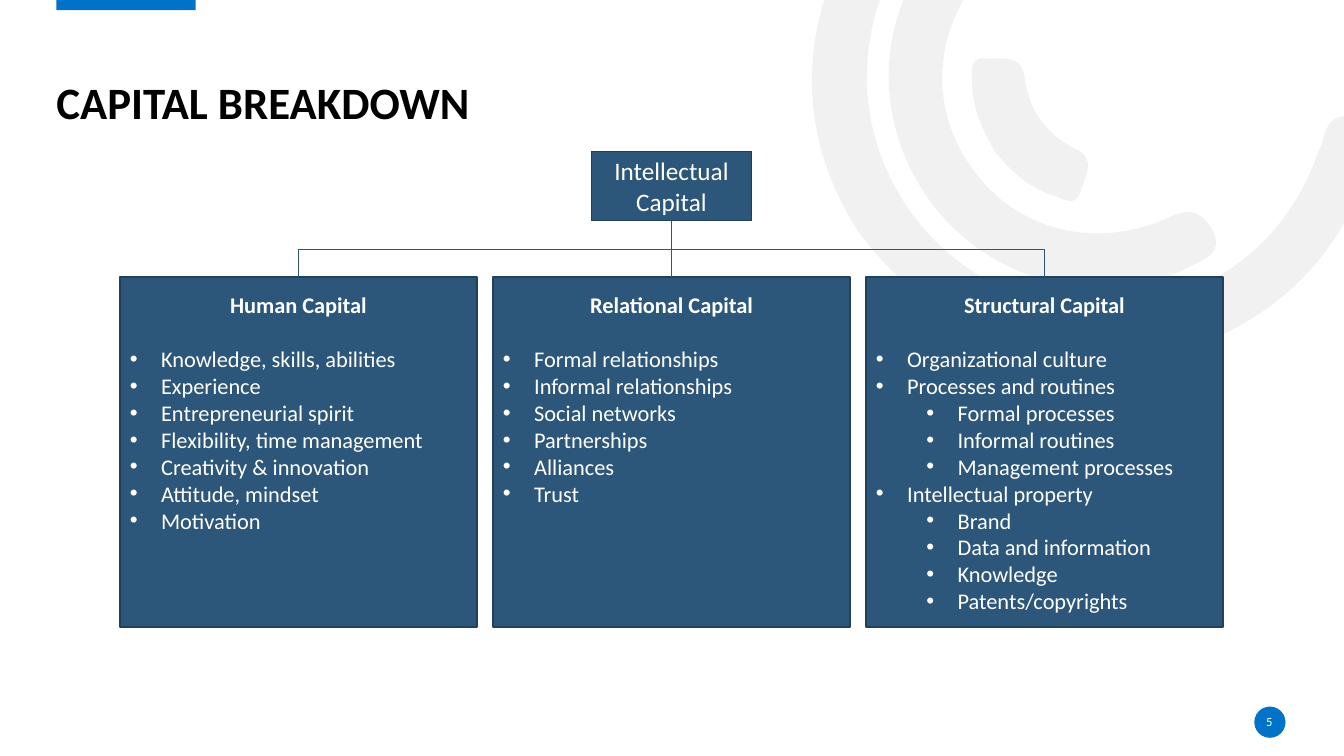
import pptx
import pptx.util
import pptx.dml.color
import pptx.enum.text
import pptx.enum.shapes
import pptx.oxml
import pptx.oxml.ns
from dataclasses import dataclass

Inches, Pt = pptx.util.Inches, pptx.util.Pt
Align, Anchor = pptx.enum.text.PP_ALIGN, pptx.enum.text.MSO_ANCHOR
Shape, Line = pptx.enum.shapes.MSO_SHAPE, pptx.enum.shapes.MSO_CONNECTOR
qn, drawing = pptx.oxml.ns.qn, pptx.oxml.ns.nsdecls("a")


@dataclass
class Theme:
    font: str = "Calibri"
    accent: str = "0072C7"
    box: str = "2C567A"
    edge: str = "21405A"
    swirl: str = "E7E6E6"
    white: str = "FFFFFF"
    black: str = "000000"
    title_size: int = 32
    root_size: int = 18
    body_size: int = 16
    number_size: int = 9


theme = Theme()


def paint(shape, fill, edge=None):
    shape.shadow.inherit = False
    shape.fill.solid()
    shape.fill.fore_color.rgb = pptx.dml.color.RGBColor.from_string(fill)
    if edge:
        shape.line.color.rgb = pptx.dml.color.RGBColor.from_string(edge)
        shape.line.width = Pt(1)
    else:
        shape.line.fill.background()


def style(para, size, color, align, bold=False):
    para.alignment = align
    for span in para.runs:
        span.font.name, span.font.size, span.font.bold = theme.font, Pt(size), bold
        span.font.color.rgb = pptx.dml.color.RGBColor.from_string(color)


# Page and grid
deck = pptx.Presentation()
deck.slide_width, deck.slide_height = Inches(13.33), Inches(7.5)
page = deck.slides.add_slide(deck.slide_layouts[5])
shapes = page.shapes
margin, center = 0.56, 6.66
pitch, column_width, column_top, column_height = 3.7, 3.54, 2.75, 3.47
root_width, root_top, root_height = 1.59, 1.5, 0.69

# Background swirl in hundredths of an inch: a start point, then
# Bezier curves (two handles and an end)
swirl = [
    [(851, 229), (799, 149, 787, 50, 838, -50), (890, -152, 976, -203, 1090, -207),
     (1105, -207, 1121, -210, 1131, -195), (1144, -175, 1127, -154, 1098, -154),
     (967, -154, 865, -59, 860, 68), (856, 181, 936, 281, 1046, 302),
     (1160, 324, 1270, 261, 1307, 152), (1309, 148, 1311, 144, 1312, 140),
     (1316, 119, 1327, 111, 1349, 117), (1373, 124, 1367, 141, 1361, 156),
     (1334, 245, 1278, 307, 1191, 341), (1070, 387, 936, 345, 851, 229)],
    [(922, 199), (862, 115, 869, 7, 940, -68), (951, -79, 962, -95, 980, -78),
     (995, -64, 997, -50, 979, -32), (925, 26, 920, 108, 965, 168),
     (1008, 229, 1088, 249, 1161, 215), (1182, 205, 1193, 212, 1203, 229),
     (1213, 250, 1197, 256, 1183, 263), (1096, 310, 983, 282, 922, 199)],
    [(987, 151), (975, 130, 964, 107, 964, 82), (964, 73, 961, 57, 976, 58),
     (992, 59, 1013, 53, 1016, 76), (1021, 110, 1036, 132, 1067, 148),
     (1088, 157, 1076, 176, 1072, 189), (1068, 206, 1055, 198, 1045, 194),
     (1021, 187, 1003, 170, 987, 151)],
]
for start, *curves in swirl:
    ends = [curve[4:] for curve in curves]
    builder = shapes.build_freeform(*start, scale=Inches(0.01))
    builder.add_line_segments(ends, close=True)
    arc = builder.convert_to_shape()
    paint(arc, theme.swirl)
    tint = arc._element.spPr.find(qn("a:solidFill"))[0]
    tint.append(pptx.oxml.parse_xml(f'<a:alpha {drawing} val="53000"/>'))
    # Bend each straight segment by giving it its two handles
    left, top = min(x for x, y in ends), min(y for x, y in ends)
    segments = list(arc._element.iter(qn("a:lnTo")))
    for segment, (x1, y1, x2, y2, *end) in zip(segments, curves):
        segment.tag = qn("a:cubicBezTo")
        for place, (x, y) in enumerate([(x1, y1), (x2, y2)]):
            segment.insert(place, pptx.oxml.parse_xml(
                f'<a:pt {drawing} x="{x - left}" y="{y - top}"/>'))

# Top tab and page number
tab = shapes.add_shape(Shape.RECTANGLE, Inches(margin), Inches(-0.02), Inches(1.38), Inches(0.12))
paint(tab, theme.accent)
badge = shapes.add_shape(Shape.OVAL, Inches(12.44), Inches(7.01), Inches(0.31), Inches(0.31))
paint(badge, theme.accent)
number = shapes.add_textbox(Inches(12.43), Inches(7.06), Inches(0.32), Inches(0.2))
frame = number.text_frame
frame.margin_left = frame.margin_right = frame.margin_top = frame.margin_bottom = 0
frame.word_wrap = True
frame.vertical_anchor = Anchor.MIDDLE
frame.text = "5"
style(frame.paragraphs[0], theme.number_size, theme.white, Align.CENTER)

# Title
title = shapes.title
title.left, title.top = Inches(margin), Inches(0.27)
title.width, title.height = Inches(12.19), Inches(1.01)
frame = title.text_frame
frame.text = "CAPITAL BREAKDOWN"
frame.auto_size = pptx.enum.text.MSO_AUTO_SIZE.NONE
frame.margin_left = frame.margin_right = frame.margin_top = frame.margin_bottom = 0
frame.vertical_anchor = Anchor.BOTTOM
frame.paragraphs[0].line_spacing = 0.9
style(frame.paragraphs[0], theme.title_size, theme.black, Align.LEFT, bold=True)

# Root box
root = shapes.add_shape(Shape.RECTANGLE, Inches(center - root_width / 2), Inches(root_top),
                        Inches(root_width), Inches(root_height))
paint(root, theme.box, theme.edge)
root.text_frame.text = "Intellectual Capital"
root.text_frame.word_wrap = True
root.text_frame.vertical_anchor = Anchor.MIDDLE
style(root.text_frame.paragraphs[0], theme.root_size, theme.white, Align.CENTER)

# Three branches: heading, then (level, text) items
branches = [
    ("Human Capital", [
        (0, "Knowledge, skills, abilities"), (0, "Experience"), (0, "Entrepreneurial spirit"),
        (0, "Flexibility, time management"), (0, "Creativity & innovation"),
        (0, "Attitude, mindset"), (0, "Motivation")]),
    ("Relational Capital", [
        (0, "Formal relationships"), (0, "Informal relationships"), (0, "Social networks"),
        (0, "Partnerships"), (0, "Alliances"), (0, "Trust")]),
    ("Structural Capital", [
        (0, "Organizational culture"), (0, "Processes and routines"), (1, "Formal processes"),
        (1, "Informal routines"), (1, "Management processes"), (0, "Intellectual property"),
        (1, "Brand"), (1, "Data and information"), (1, "Knowledge"), (1, "Patents/copyrights")]),
]
drop = column_top - root_top - root_height
for side, (heading, items) in zip((-1, 0, 1), branches):
    middle = center + side * pitch
    box = shapes.add_shape(Shape.RECTANGLE, Inches(middle - column_width / 2), Inches(column_top),
                           Inches(column_width), Inches(column_height))
    paint(box, theme.box, theme.edge)
    frame = box.text_frame
    frame.word_wrap = True
    frame.vertical_anchor = Anchor.TOP
    frame.margin_top = Inches(0.14)
    frame.text = heading
    frame.paragraphs[0].space_after = Pt(19.5)
    style(frame.paragraphs[0], theme.body_size, theme.white, Align.CENTER, bold=True)
    for level, item in items:
        para = frame.add_paragraph()
        para.text, para.level = item, level
        style(para, theme.body_size, theme.white, Align.LEFT)
        layout = para._p.get_or_add_pPr()
        layout.set("marL", str(Inches(0.31 + level * 0.5)))
        layout.set("indent", str(Inches(-0.31)))
        for tag, key, value in (("buFont", "typeface", "Arial"), ("buChar", "char", "•")):
            layout.append(pptx.oxml.parse_xml(f'<a:{tag} {drawing} {key}="{value}"/>'))

    # Link to the root; an elbow is laid out sideways and turned a quarter
    link_x, link_y = (middle + center) / 2, column_top - drop / 2
    half_x, half_y = (-side * drop / 2, pitch / 2) if side else (0, drop / 2)
    link = shapes.add_connector(Line.ELBOW if side else Line.STRAIGHT,
                                Inches(link_x + half_x), Inches(link_y + half_y),
                                Inches(link_x - half_x), Inches(link_y - half_y))
    link.line.color.rgb = pptx.dml.color.RGBColor.from_string(theme.box)
    link.line.width = Pt(0.5)
    properties = link._element.spPr
    if side:
        turn = 90 if side < 0 else 270
        properties.find(qn("a:xfrm")).set("rot", str(turn * 60000))
    properties.append(pptx.oxml.parse_xml(f'<a:effectLst {drawing}/>'))

deck.save("out.pptx")
